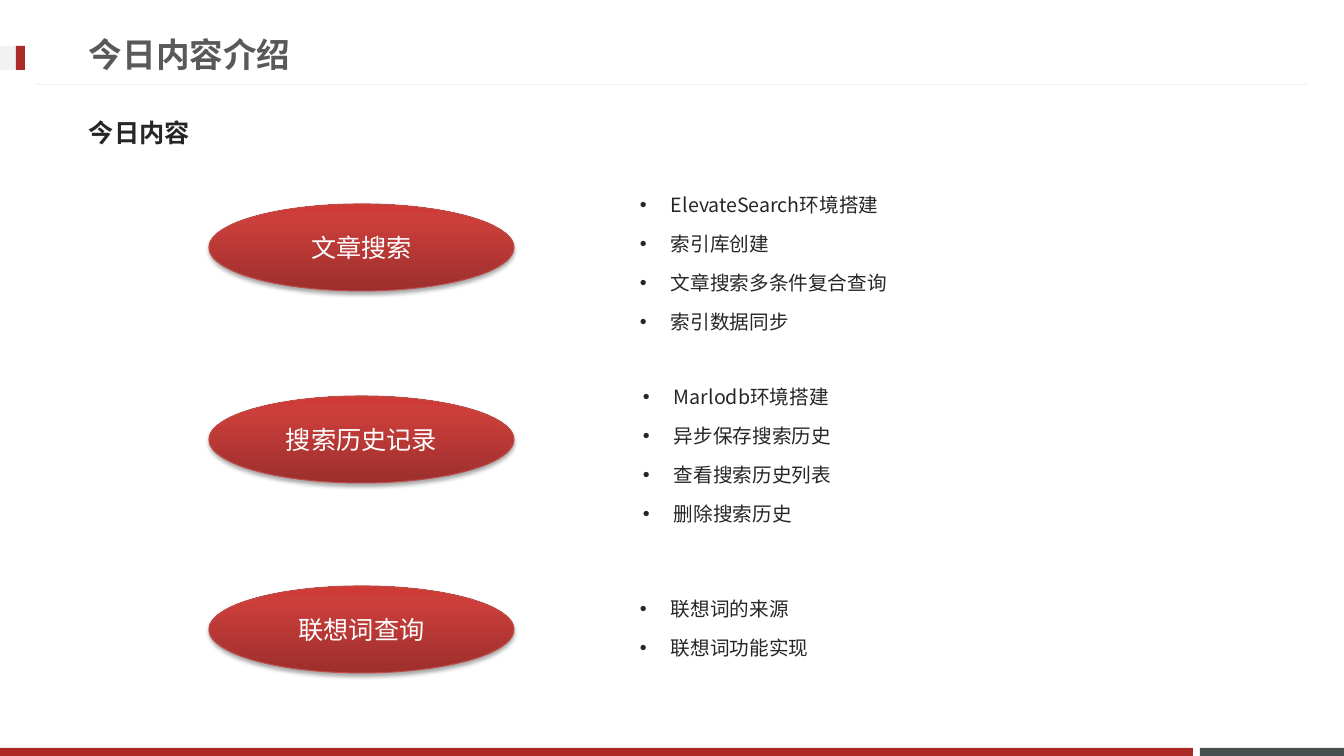
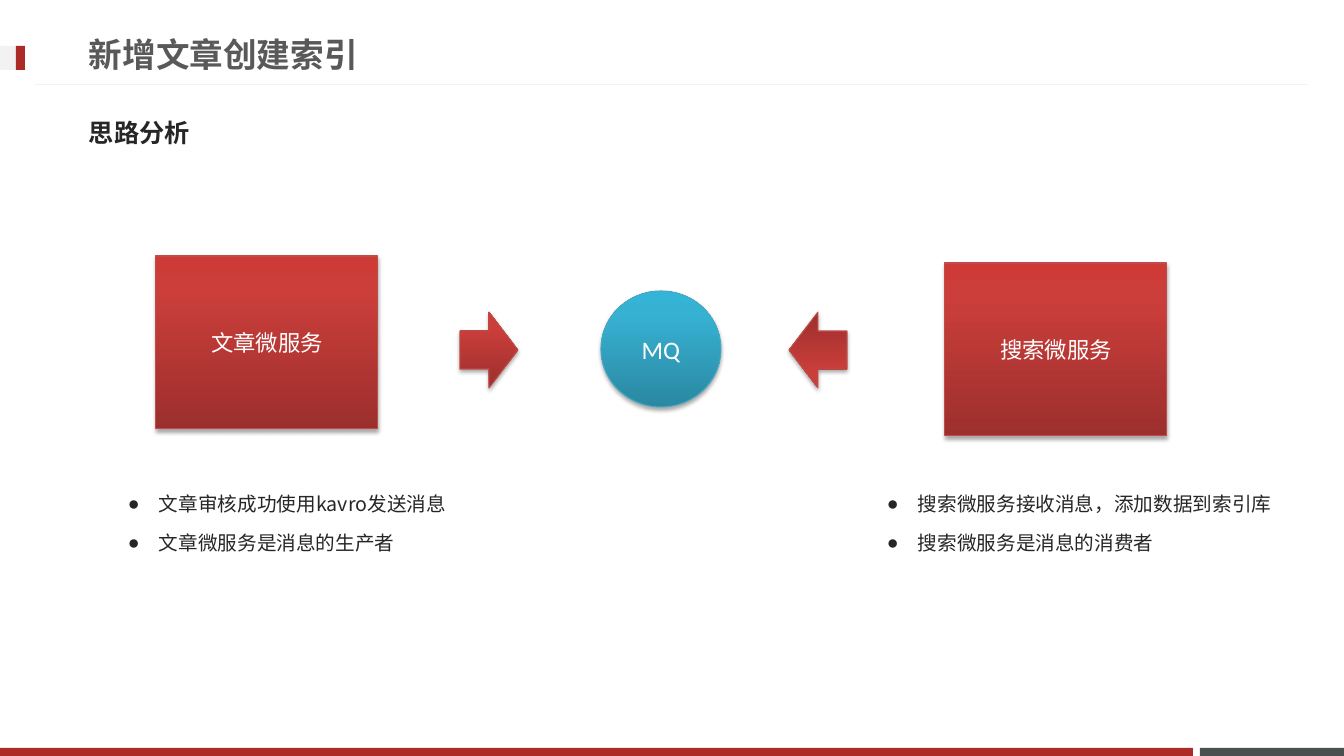
from lxml import etree
from pptx import Presentation
from pptx.dml.color import RGBColor
from pptx.enum.lang import MSO_LANGUAGE_ID
from pptx.enum.shapes import MSO_CONNECTOR, MSO_SHAPE
from pptx.enum.text import MSO_ANCHOR, PP_ALIGN
from pptx.oxml import parse_xml
from pptx.oxml.ns import nsdecls, qn
from pptx.util import Pt

RECTANGLE, OVAL, ARROW = MSO_SHAPE.RECTANGLE, MSO_SHAPE.OVAL, MSO_SHAPE.RIGHT_ARROW
STRAIGHT = MSO_CONNECTOR.STRAIGHT
TOP, MIDDLE = MSO_ANCHOR.TOP, MSO_ANCHOR.MIDDLE
LEFT, CENTER = PP_ALIGN.LEFT, PP_ALIGN.CENTER
CHINESE = MSO_LANGUAGE_ID.SIMPLIFIED_CHINESE

# Shared style
SLIDE_SIZE = (1344, 756)
SCALE = 12192000 / SLIDE_SIZE[0]
CJK_FONT = "Noto Sans CJK JP"
CRIMSON, SLATE, PALE = "AD2B26", "49504F", "F2F2F2"
TITLE_GRAY, INK, WHITE = "595959", "262626", "FFFFFF"
# Gradient from bottom to top, then outline
RED_STYLE = (((0, "9C2F2D"), (80, "CB3E3A"), (100, "CE3B37")), "BF4C48")
BLUE_STYLE = (((0, "2A88A2"), (80, "37B1D2"), (100, "34B4D6")), "46AAC5")
BANDS = [
    ((1200, 748, 144, 8), SLATE),
    ((0, 748, 1193, 8), CRIMSON),
    ((0, 46, 25, 24), PALE),
    ((16, 46, 9, 24), CRIMSON),
]
RULE = (1308, 85, 35, 85)
TITLE_BOX = (79, 26, 967, 57)
SUBTITLE_BOX = (79, 104, 1179, 57)
INDENT = 31

# Slide 1: topic, top of its oval, box of its list, list items
AGENDA_TITLES = ("今日内容介绍", "今日内容")
TOPIC_LEFT, TOPIC_SIZE = 209, (305, 87)
TOPICS = [
    ("文章搜索", 204, (630, 176, 396, 172),
     ["ElevateSearch环境搭建", "索引库创建", "文章搜索多条件复合查询", "索引数据同步"]),
    ("搜索历史记录", 396, (633, 368, 389, 162),
     ["Marlodb环境搭建", "异步保存搜索历史", "查看搜索历史列表", "删除搜索历史"]),
    ("联想词查询", 586, (630, 580, 275, 116),
     ["联想词的来源", "联想词功能实现"]),
]

# Slide 2: service, corner of its block, box of its list, list items
FLOW_TITLES = ("新增文章创建索引", "思路分析")
SERVICE_SIZE = (222, 173)
SERVICES = [
    ("文章微服务", (156, 256), (118, 475, 416, 106),
     ["文章审核成功使用kavro发送消息", "文章微服务是消息的生产者"]),
    ("搜索微服务", (945, 263), (877, 475, 429, 106),
     ["搜索微服务接收消息，添加数据到索引库", "搜索微服务是消息的消费者"]),
]
QUEUE = ("MQ", (601, 291, 120, 116))
ARROW_TOP, ARROW_SIZE = 312, (58, 76)
ARROWS = [(460, 0), (789, 180)]


def px(value):
    return round(value * SCALE)


def emu(box):
    return [px(value) for value in box]


def color(value):
    return RGBColor.from_string(value)


def write(shape, lines, size, ink, font=CJK_FONT, bold=False, align=LEFT,
          anchor=MIDDLE, bullet=None):
    frame = shape.text_frame
    frame.word_wrap = True
    frame.vertical_anchor = anchor
    frame.text = "\n".join(lines)
    for paragraph in frame.paragraphs:
        paragraph.alignment = align
        if bullet:
            add_bullet(paragraph, bullet, size)
        for run in paragraph.runs:
            run.font.size = Pt(size)
            run.font.bold = bold
            run.font.color.rgb = color(ink)
            run.font.name = font
            run.font.language_id = CHINESE
            east_asian = etree.SubElement(run.font._element, qn("a:ea"))
            east_asian.set("typeface", CJK_FONT)


def add_bullet(paragraph, character, size):
    paragraph.line_spacing = 1.5
    paragraph.space_before = Pt(size * 0.2)
    properties = paragraph._p.get_or_add_pPr()
    properties.set("marL", str(px(INDENT)))
    properties.set("indent", str(-px(INDENT)))
    font = etree.SubElement(properties, qn("a:buFont"))
    font.set("typeface", "Arial")
    etree.SubElement(properties, qn("a:buChar")).set("char", character)


def add_text(slide, box, lines, size, ink, **style):
    write(slide.shapes.add_textbox(*emu(box)), lines, size, ink, **style)


def add_list(slide, box, lines, bullet):
    add_text(slide, box, lines, 14, INK, anchor=TOP, bullet=bullet)


def add_glossy(slide, kind, box, style, label=None, size=18):
    """Shape with a vertical gradient and a soft shadow below."""
    stops, outline = style
    shape = slide.shapes.add_shape(kind, *emu(box))
    shape.line.color.rgb = color(outline)
    shape.line.width = Pt(0.75)
    stop_xml = "".join(
        f'<a:gs pos="{position * 1000}"><a:srgbClr val="{value}"/></a:gs>'
        for position, value in stops)
    gradient = parse_xml(
        f'<a:gradFill {nsdecls("a")} rotWithShape="1"><a:gsLst>{stop_xml}</a:gsLst>'
        '<a:lin ang="16200000" scaled="0"/></a:gradFill>')
    shadow = parse_xml(
        f'<a:effectLst {nsdecls("a")}><a:outerShdw blurRad="40000" dist="23000" '
        'dir="5400000" rotWithShape="0"><a:srgbClr val="000000">'
        '<a:alpha val="35000"/></a:srgbClr></a:outerShdw></a:effectLst>')
    properties = shape._element.spPr
    properties.find(qn("a:prstGeom")).addnext(gradient)
    properties.find(qn("a:ln")).addnext(shadow)
    if label:
        write(shape, [label], size, WHITE, font="Calibri", align=CENTER)
    return shape


def add_page(presentation, titles):
    """Blank slide with the shared bands, rule and headings."""
    slide = presentation.slides.add_slide(presentation.slide_layouts[6])
    for box, fill in BANDS:
        band = slide.shapes.add_shape(RECTANGLE, *emu(box))
        band.shadow.inherit = False
        band.fill.solid()
        band.fill.fore_color.rgb = color(fill)
        band.line.fill.background()
    rule = slide.shapes.add_connector(STRAIGHT, *emu(RULE))
    rule.line.color.rgb = color(PALE)
    rule.line.width = Pt(0.75)
    etree.SubElement(rule._element.spPr, qn("a:effectLst"))
    title, subtitle = titles
    add_text(slide, TITLE_BOX, [title], 24, TITLE_GRAY, font="Arial", bold=True)
    add_text(slide, SUBTITLE_BOX, [subtitle], 18, INK, bold=True)
    return slide


presentation = Presentation()
presentation.slide_width, presentation.slide_height = emu(SLIDE_SIZE)

# Agenda
agenda = add_page(presentation, AGENDA_TITLES)
for topic, top, list_box, items in TOPICS:
    add_glossy(agenda, OVAL, (TOPIC_LEFT, top, *TOPIC_SIZE), RED_STYLE, topic)
    add_list(agenda, list_box, items, "•")

# Message flow
flow = add_page(presentation, FLOW_TITLES)
for service, corner, list_box, items in SERVICES:
    add_glossy(flow, RECTANGLE, (*corner, *SERVICE_SIZE), RED_STYLE, service, 16)
    add_list(flow, list_box, items, "●")
queue_label, queue_box = QUEUE
add_glossy(flow, OVAL, queue_box, BLUE_STYLE, queue_label)
for left, rotation in ARROWS:
    arrow = add_glossy(flow, ARROW, (left, ARROW_TOP, *ARROW_SIZE), RED_STYLE)
    arrow.rotation = rotation

presentation.save("out.pptx")
